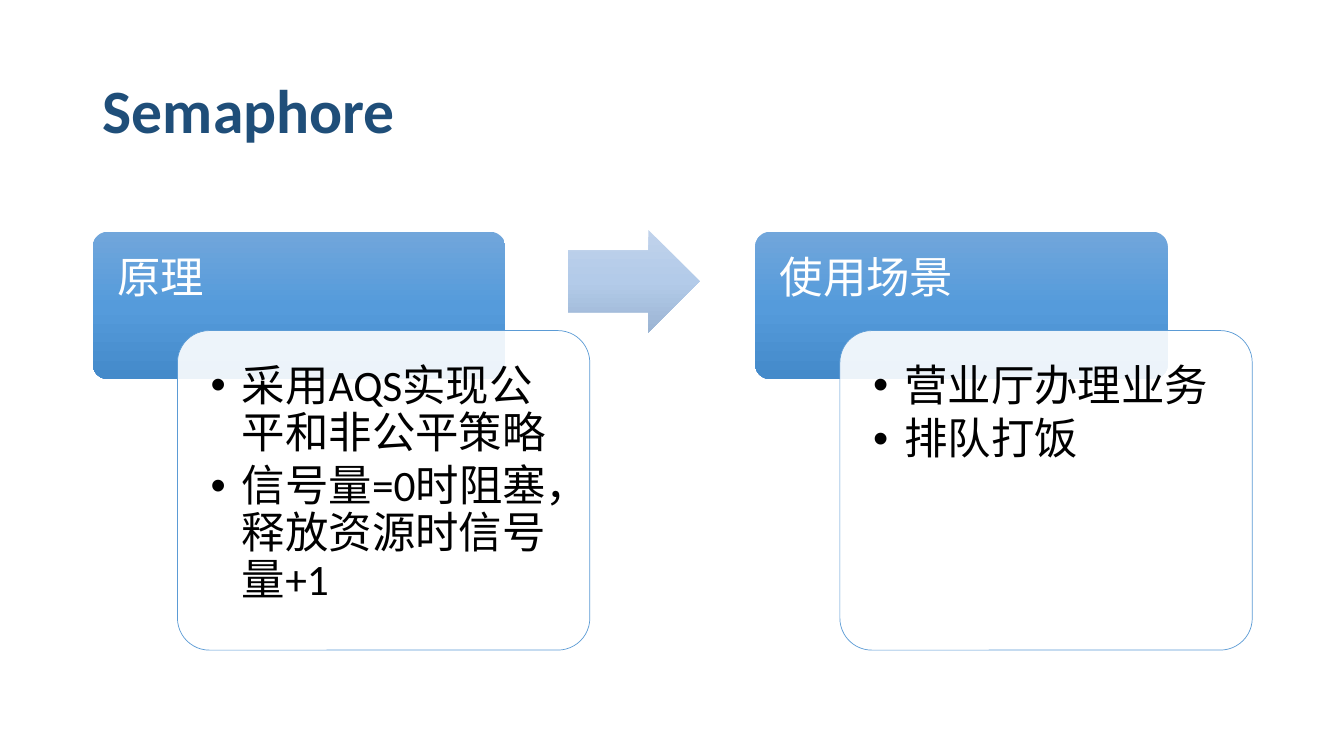
import copy

import pptx
import pptx.dml.color
import pptx.enum.shapes
import pptx.enum.text
import pptx.oxml.ns
import pptx.util
from lxml import etree

Inches, Pt = pptx.util.Inches, pptx.util.Pt
RGB = pptx.dml.color.RGBColor.from_string
SHAPE = pptx.enum.shapes.MSO_SHAPE
ANCHOR = pptx.enum.text.MSO_ANCHOR
ALIGN = pptx.enum.text.PP_ALIGN
qn = pptx.oxml.ns.qn

THEME = {
    "font": "Calibri",
    "title": RGB("1F4E79"),
    "head": RGB("FFFFFF"),
    "body": RGB("000000"),
    "card": RGB("FFFFFF"),
    "edge": RGB("5B9BD5"),
    "blue": ("71A6DB", "559BDB", "448ACA"),
    "pale": ("C0D2EB", "B3CBE9", "9BB4D3"),
    "big": Pt(44),
    "text": Pt(31),
}
STEPS = [
    ("原理", ["采用AQS实现公平和非公平策略", "信号量=0时阻塞，释放资源时信号量+1"]),
    ("使用场景", ["营业厅办理业务", "排队打饭"]),
]
LEFT, TOP, PITCH = 0.92, 2.3, 6.57
WIDE, INSET = 4.09, Inches(0.24)


def apply(*pairs):
    """Set the attributes of each object from the dict that follows it."""
    for item, values in zip(pairs[::2], pairs[1::2]):
        for name, value in values.items():
            setattr(item, name, value)


def shade(shape, colors):
    """Fill a shape with an even gradient from top to bottom, without line or shadow."""
    shape.shadow.inherit = False
    shape.line.fill.background()
    shape.fill.gradient()
    shape.fill.gradient_angle = 270
    stops = shape._element.spPr.find(".//" + qn("a:gsLst"))
    stops.insert(1, copy.deepcopy(stops[0]))
    for i, stop in enumerate(shape.fill.gradient_stops):
        stop.position = i / (len(colors) - 1)
        stop.color.rgb = RGB(colors[i])


deck = pptx.Presentation()
apply(deck, {"slide_width": Inches(13.33), "slide_height": Inches(7.5)})
slide = deck.slides.add_slide(deck.slide_layouts.get_by_name("Two Content"))
shapes = slide.shapes

title = shapes.title
title.text = "Semaphore"
para = title.text_frame.paragraphs[0]
apply(
    title, {"left": Inches(LEFT), "top": Inches(0.4),
            "width": Inches(11.5), "height": Inches(1.45)},
    title.text_frame, {"vertical_anchor": ANCHOR.MIDDLE},
    para, {"alignment": ALIGN.LEFT, "line_spacing": 0.9},
    para.font, {"name": THEME["font"], "size": THEME["big"], "bold": True},
    para.font.color, {"rgb": THEME["title"]},
)

for i, (label, items) in enumerate(STEPS):
    x = LEFT + i * PITCH

    head = shapes.add_shape(SHAPE.ROUNDED_RECTANGLE, Inches(x), Inches(TOP),
                            Inches(WIDE), Inches(1.46))
    head.adjustments[0] = 0.1
    shade(head, THEME["blue"])
    head.text = label
    para = head.text_frame.paragraphs[0]
    apply(
        head.text_frame, {"vertical_anchor": ANCHOR.TOP, "word_wrap": True,
                          "margin_left": Inches(0.2), "margin_top": Inches(0.2)},
        para, {"alignment": ALIGN.LEFT, "line_spacing": 0.9},
        para.font, {"name": THEME["font"], "size": THEME["text"]},
        para.font.color, {"rgb": THEME["head"]},
    )

    card = shapes.add_shape(SHAPE.ROUNDED_RECTANGLE, Inches(x + 0.84),
                            Inches(TOP + 0.98), Inches(WIDE), Inches(3.17))
    card.adjustments[0] = 0.1
    card.shadow.inherit = False
    card.fill.solid()
    apply(card.fill.fore_color, {"rgb": THEME["card"]},
          card.line.color, {"rgb": THEME["edge"]},
          card.line, {"width": Pt(0.5)})
    tint = card._element.spPr.find(qn("a:solidFill"))[0]
    etree.SubElement(tint, qn("a:alpha"), val="90000")

    body = slide.placeholders[i + 1]
    shapes._spTree.append(body._element)  # bring the list in front of its card
    frame = body.text_frame
    frame.text = "\n".join(items)
    apply(
        body, {"left": Inches(x + 0.93), "top": Inches(TOP + 1.07),
               "width": Inches(3.9), "height": Inches(2.99)},
        frame, {"margin_left": INSET, "margin_right": INSET,
                "margin_top": INSET, "margin_bottom": INSET,
                "vertical_anchor": ANCHOR.TOP, "word_wrap": True,
                "auto_size": pptx.enum.text.MSO_AUTO_SIZE.NONE},
    )
    for para in frame.paragraphs:
        apply(
            para, {"line_spacing": 0.9, "space_before": Pt(0),
                   "space_after": Pt(4.65)},
            para.font, {"name": THEME["font"], "size": THEME["text"]},
            para.font.color, {"rgb": THEME["body"]},
        )
        props = para._p.get_or_add_pPr()
        props.set("marL", str(Inches(0.31)))
        props.set("indent", str(-Inches(0.31)))

arrow = shapes.add_shape(SHAPE.RIGHT_ARROW, Inches(5.63), Inches(2.28),
                         Inches(1.31), Inches(1.02))
arrow.adjustments[0] = 0.6
shade(arrow, THEME["pale"])

deck.save("out.pptx")
